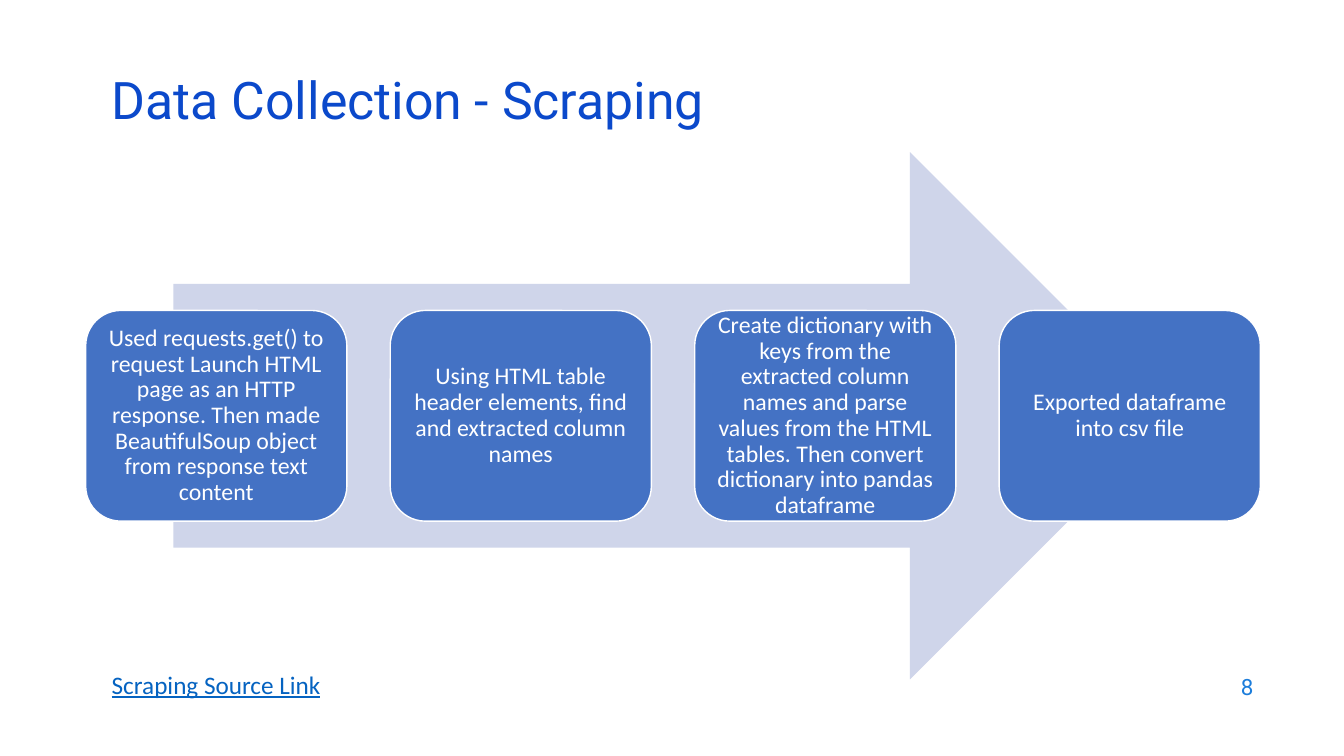
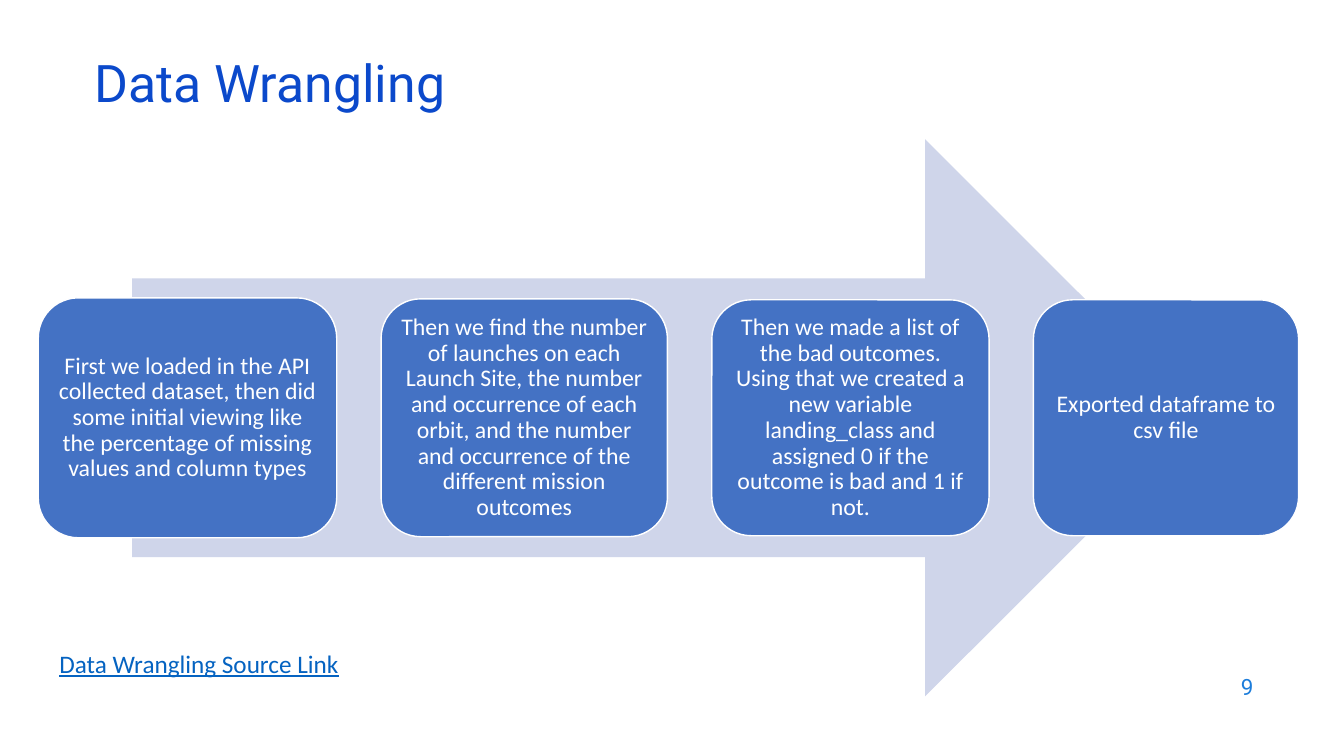
from pptx import Presentation
from pptx.dml.color import RGBColor
from pptx.enum import shapes, text
from pptx.util import Inches, Pt

HUES = {"title": "0B49CB", "page": "1C7DDB", "arrow": "CFD5EA",
        "step": "4472C4", "link": "0563C1", "white": "FFFFFF"}
SHAPE = shapes.MSO_SHAPE
ALIGN = text.PP_ALIGN
MIDDLE = text.MSO_ANCHOR.MIDDLE

# "arrow" is left, top, width, height; each step is width, height, words
DECK = [
    {"page": "8", "title": "Data Collection - Scraping", "head": (1.01, 0.76),
     "arrow": (1.72, 1.51, 9.92, 5.23), "left": 0.85, "gap": 0.43,
     "steps": [
         (2.59, 2.09, "Used requests.get() to request Launch HTML page as an HTTP "
                      "response. Then made BeautifulSoup object from response text content"),
         (2.59, 2.09, "Using HTML table header elements, find and extracted column names"),
         (2.59, 2.09, "Create dictionary with keys from the extracted column names and "
                      "parse values from the HTML tables. Then convert dictionary into "
                      "pandas dataframe"),
         (2.59, 2.09, "Exported dataframe into csv file")],
     "link": "Scraping Source Link", "foot": (1.01, 6.59, 4.46)},
    {"page": "9", "title": "Data Wrangling", "head": (0.84, 0.59),
     "arrow": (1.31, 1.38, 10.63, 5.53), "left": 0.38, "gap": 0.44,
     "steps": [
         (2.96, 2.38, "First we loaded in the API collected dataset, then did some "
                      "initial viewing like the percentage of missing values and column types"),
         (2.84, 2.36, "Then we find the number of launches on each Launch Site, the "
                      "number and occurrence of each orbit, and the number and occurrence "
                      "of the different mission outcomes"),
         (2.75, 2.34, "Then we made a list of the bad outcomes. Using that we created a "
                      "new variable landing_class and assigned 0 if the outcome is bad "
                      "and 1 if not."),
         (2.63, 2.34, "Exported dataframe to csv file")],
     "link": "Data Wrangling Source Link", "foot": (0.49, 6.38, 4.18)},
]


def write(box, words, size, face, hue, align=ALIGN.LEFT, space=1.0):
    """Fill a box with one middle-anchored paragraph and return its font."""
    frame = box.text_frame
    frame.word_wrap = True
    frame.vertical_anchor = MIDDLE
    para = frame.paragraphs[0]
    para.text = words
    para.alignment = align
    para.line_spacing = space
    font = para.runs[0].font
    font.size = Pt(size)
    font.name = face
    font.color.rgb = RGBColor.from_string(HUES[hue])
    return font


def draw(slide, kind, place, hue):
    """Add a flat filled shape without a line; place is in inches."""
    shape = slide.shapes.add_shape(kind, *map(Inches, place))
    shape.shadow.inherit = False
    shape.fill.solid()
    shape.fill.fore_color.rgb = RGBColor.from_string(HUES[hue])
    shape.line.fill.background()
    return shape


deck = Presentation()
deck.slide_width = Inches(13.33)
deck.slide_height = Inches(7.5)

for data in DECK:
    slide = deck.slides.add_slide(deck.slide_layouts[6])
    add = slide.shapes.add_textbox

    page = add(Inches(9.53), Inches(6.59), Inches(3), Inches(0.44))
    write(page, data["page"], 16, "Roboto", "page", ALIGN.RIGHT)

    left, top = data["head"]
    title = add(Inches(left), Inches(top), Inches(11.5), Inches(0.6))
    write(title, data["title"], 37, "Roboto", "title", space=0.7)

    draw(slide, SHAPE.RIGHT_ARROW, data["arrow"], "arrow")
    mid = data["arrow"][1] + data["arrow"][3] / 2

    left = data["left"]
    for wide, high, words in data["steps"]:
        step = draw(slide, SHAPE.ROUNDED_RECTANGLE,
                    (left, mid - high / 2, wide, high), "step")
        step.line.color.rgb = RGBColor.from_string(HUES["white"])
        step.line.width = Pt(1)
        frame = step.text_frame
        frame.margin_left = frame.margin_right = Inches(0.07)
        frame.margin_top = frame.margin_bottom = Inches(0.07)
        write(step, words, 17, "Calibri", "white", ALIGN.CENTER, 0.9)
        left += wide + data["gap"]

    left, top, wide = data["foot"]
    link = add(Inches(left), Inches(top), Inches(wide), Inches(0.4))
    write(link, data["link"], 18, "Calibri", "link").underline = True

deck.save("out.pptx")
